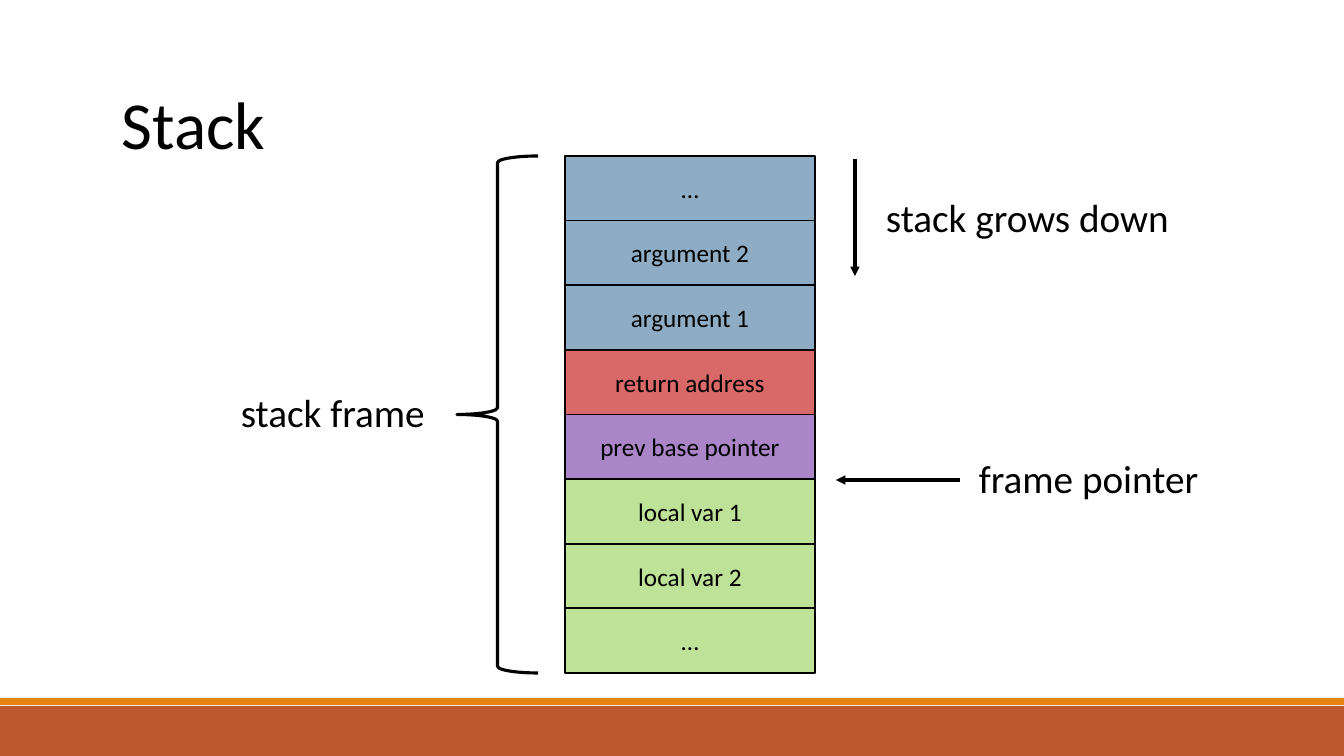
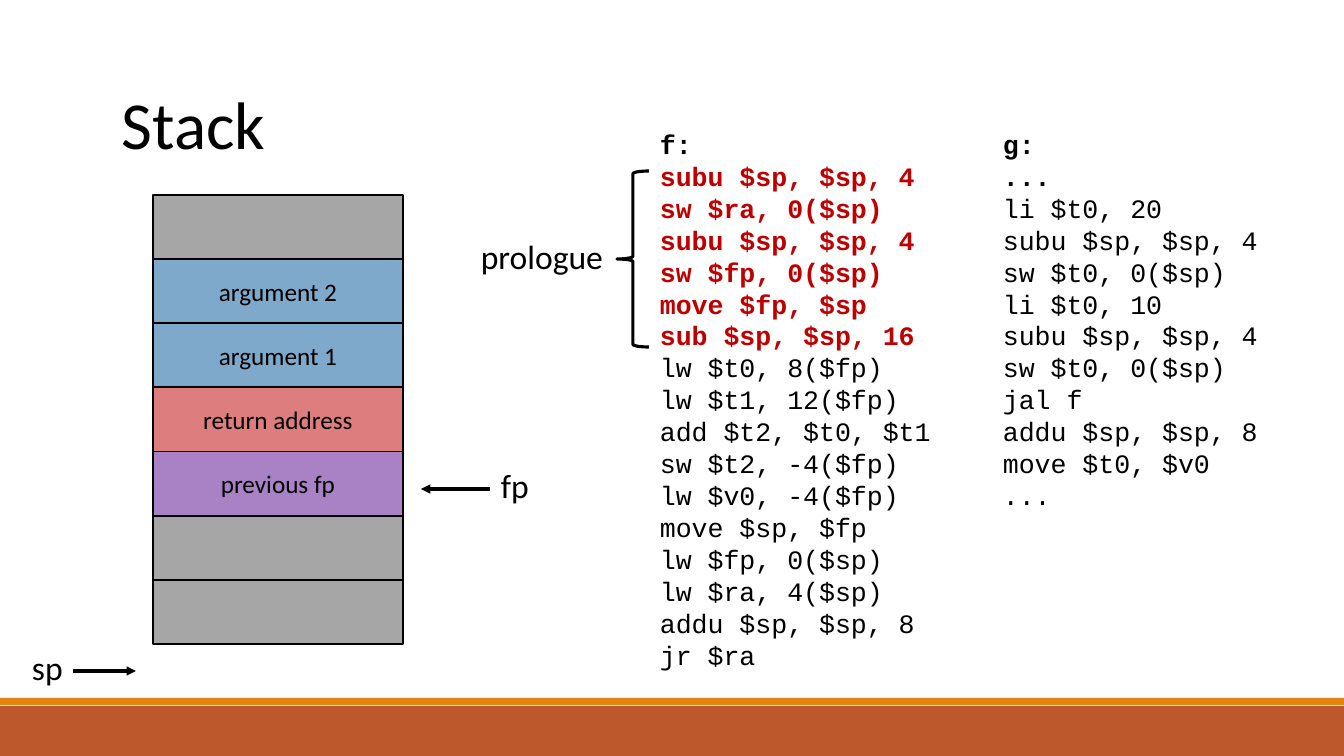
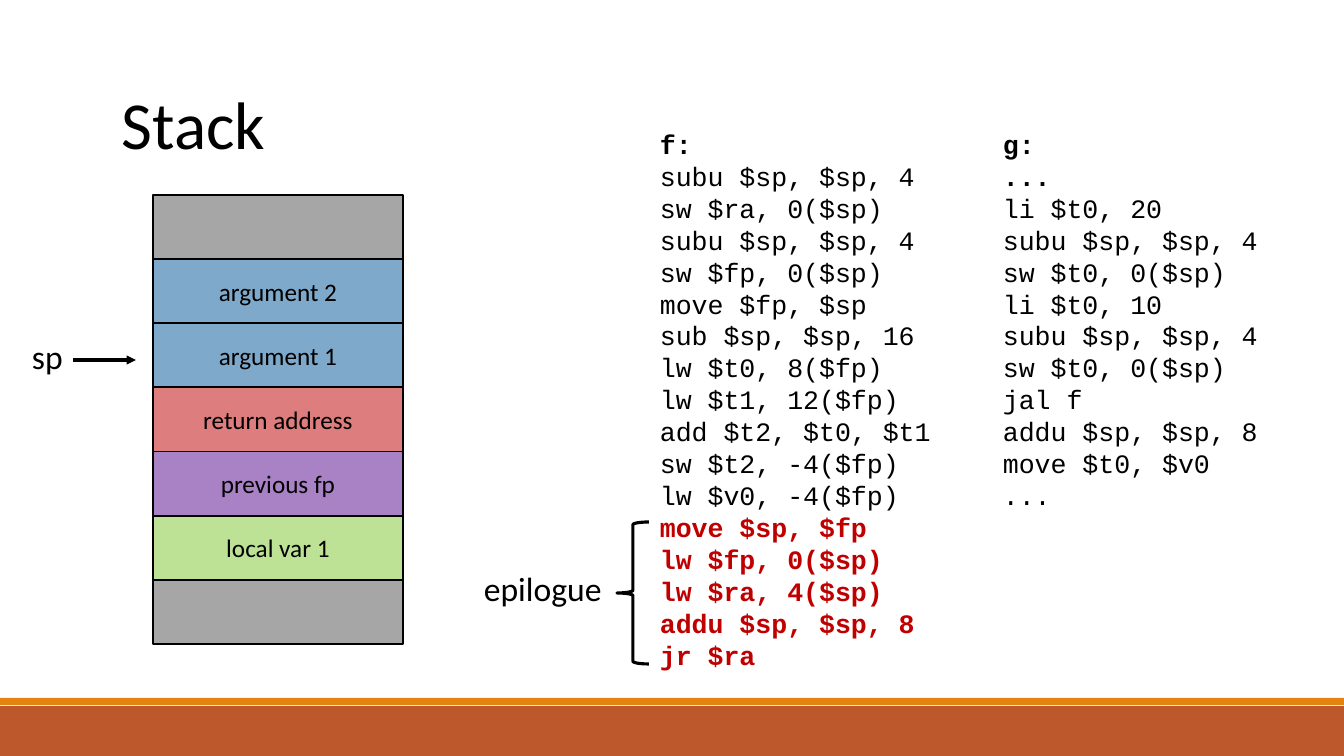
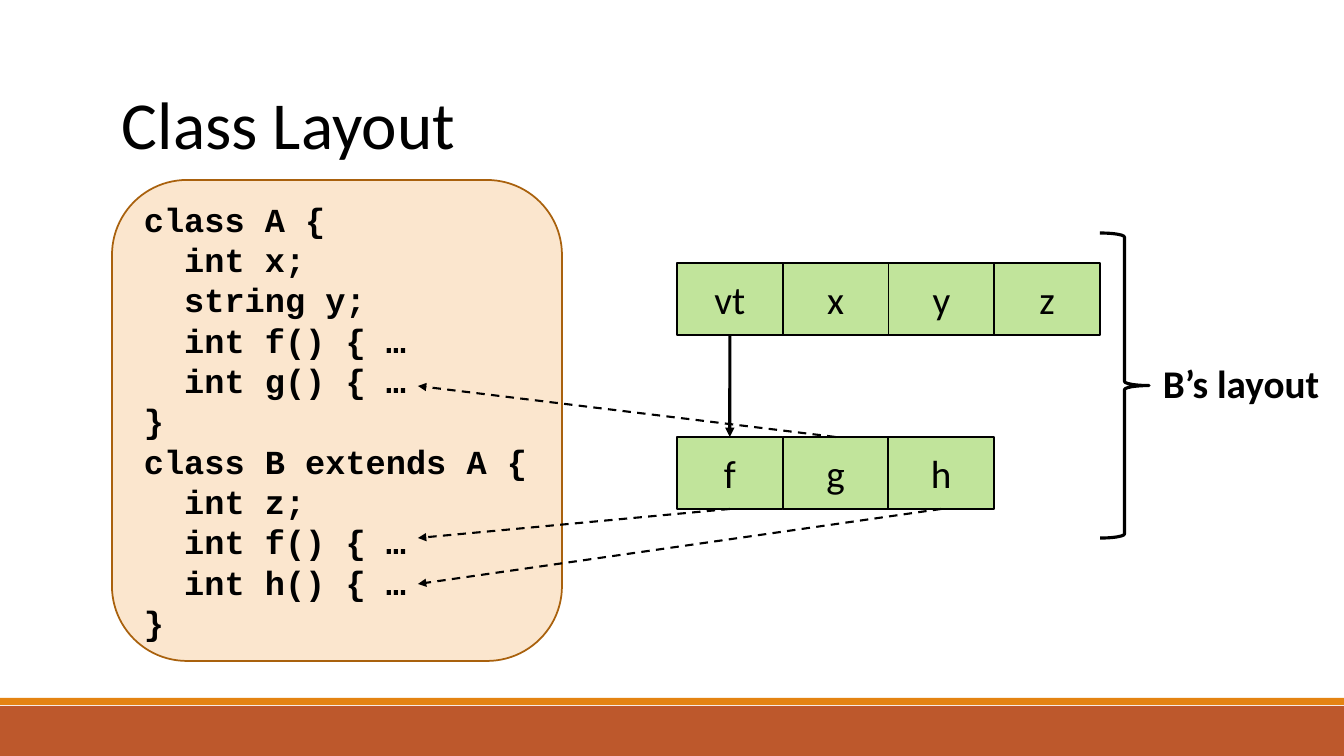
from lxml.etree import SubElement
from pptx import Presentation
from pptx.dml.color import RGBColor
from pptx.enum.dml import MSO_LINE
from pptx.enum.shapes import MSO_CONNECTOR as Link, MSO_SHAPE as Form
from pptx.enum.text import MSO_ANCHOR as Anchor, MSO_AUTO_SIZE as AutoSize, PP_ALIGN as Align
from pptx.oxml.ns import qn
from pptx.util import Emu, Pt

PX = 914400 / 100.8
WIDTH, HEIGHT = 1344, 756
SANS, MONO = "Calibri", "Courier New"
TOP, LEFT, BOTTOM, RIGHT = range(4)
COLORS = {
    "ink": "000000", "band": "BD582C", "stripe": "E48312",
    "red": "C00000", "purple": "7030A0", "green": "92D050",
    "steel": "40749B", "sky": "7EA9CA", "gray": "A6A6A6",
    "cream": "FBE6CE", "brown": "A9610D",
}

F_CODE = [
    "f:", "subu $sp, $sp, 4", "sw $ra, 0($sp)", "subu $sp, $sp, 4",
    "sw $fp, 0($sp)", "move $fp, $sp", "sub $sp, $sp, 16", "lw $t0, 8($fp)",
    "lw $t1, 12($fp)", "add $t2, $t0, $t1", "sw $t2, -4($fp)",
    "lw $v0, -4($fp)", "move $sp, $fp", "lw $fp, 0($sp)", "lw $ra, 4($sp)",
    "addu $sp, $sp, 8", "jr $ra",
]
G_CODE = [
    "g:", "...", "li $t0, 20", "subu $sp, $sp, 4", "sw $t0, 0($sp)",
    "li $t0, 10", "subu $sp, $sp, 4", "sw $t0, 0($sp)", "jal f",
    "addu $sp, $sp, 8", "move $t0, $v0", "...",
]
CLASS_CODE = [
    (0, "class A {"), (1, "int x;"), (1, "string y;"), (1, "int f() { …"),
    (1, "int g() { …"), (0, "}"), (0, "class B extends A {"), (1, "int z;"),
    (1, "int f() { …"), (1, "int h() { …"), (0, "}"),
]
FRAME_CELLS = [
    ("…", "steel", 59), ("argument 2", "steel", 59), ("argument 1", "steel", 59),
    ("return address", "red", 59), ("prev base pointer", "purple", 59),
    ("local var 1", "green", 59), ("local var 2", "green", 59), ("…", "green", 59),
]
EMPTY = ("", "gray", 100)
CALL_CELLS = [
    EMPTY, ("argument 2", "sky", 100), ("argument 1", "sky", 100),
    ("return address", "red", 51), ("previous fp", "purple", 60),
]


def px(*values):
    return [Emu(round(value * PX)) for value in values]


def rgb(name):
    return RGBColor.from_string(COLORS[name])


def style(para, size, face=SANS, color="ink", bold=False):
    para.font.size = Pt(size)
    para.font.name = face
    para.font.color.rgb = rgb(color)
    para.font.bold = bold


def add_form(shapes, form, at, fill=None, alpha=100, line=None, weight=1.25):
    shape = shapes.add_shape(form, *px(*at))
    shape.shadow.inherit = False
    if fill:
        shape.fill.solid()
        shape.fill.fore_color.rgb = rgb(fill)
        if alpha < 100:
            color = shape.element.spPr.find(".//" + qn("a:srgbClr"))
            SubElement(color, qn("a:alpha"), val=str(alpha * 1000))
    else:
        shape.fill.background()
    if line:
        shape.line.color.rgb = rgb(line)
        shape.line.width = Pt(weight)
    else:
        shape.line.fill.background()
    return shape


def add_brace(page, *at, rotation=0):
    brace = add_form(page.shapes, Form.LEFT_BRACE, at, line="ink", weight=2.25)
    brace.rotation = rotation


def add_box(page, *at):
    box = page.shapes.add_textbox(*px(*at))
    box.text_frame.word_wrap = True
    box.text_frame.auto_size = AutoSize.SHAPE_TO_FIT_TEXT
    return box


def add_label(page, text, at, size, bold=False):
    para = add_box(page, *at).text_frame.paragraphs[0]
    para.text = text
    style(para, size, bold=bold)


def add_lines(frame, lines, size):
    frame.text = "\n".join(lines)
    for para in frame.paragraphs:
        para.alignment = Align.LEFT
        para.line_spacing = Pt(size * 1.2)
        style(para, size, MONO)
    return frame.paragraphs


def add_code(page, lines, at, bold_lines, red_lines=()):
    paras = add_lines(add_box(page, *at).text_frame, lines, 19)
    for number, para in enumerate(paras):
        if number in red_lines:
            style(para, 19, MONO, "red", True)
        elif number < bold_lines:
            para.font.bold = True


def add_cell(group, at, text, fill, alpha, size):
    cell = add_form(group.shapes, Form.RECTANGLE, at, fill, alpha, "ink")
    if text:
        frame = cell.text_frame
        frame.vertical_anchor = Anchor.MIDDLE
        para = frame.paragraphs[0]
        para.text = text
        para.alignment = Align.CENTER
        style(para, size)
    return cell


def add_stack(page, left, top, height, cells):
    group = page.shapes.add_group_shape()
    pitch = height / len(cells)
    for row, (text, fill, alpha) in enumerate(cells):
        add_cell(group, (left, top + row * pitch, 250, pitch), text, fill, alpha, 18)


def add_row(page, left, top, width, names):
    group = page.shapes.add_group_shape()
    pitch = width / len(names)
    return [
        add_cell(group, (left + column * pitch, top, pitch, 72), name, "green", 57, 28)
        for column, name in enumerate(names)
    ]


def add_arrow(page, start, end, weight=2.25, dashed=False):
    arrow = page.shapes.add_connector(Link.STRAIGHT, *px(*start, *end))
    arrow.line.color.rgb = rgb("ink")
    arrow.line.width = Pt(weight)
    if dashed:
        arrow.line.dash_style = MSO_LINE.DASH
    SubElement(arrow.line._get_or_add_ln(), qn("a:tailEnd"), type="triangle")
    SubElement(arrow.element.spPr, qn("a:effectLst"))
    return arrow


def add_page(deck, title):
    page = deck.slides.add_slide(deck.slide_layouts[6])
    add_form(page.shapes, Form.RECTANGLE, (0, 706, WIDTH, 50), "band")
    add_form(page.shapes, Form.RECTANGLE, (0, 698, WIDTH, 7), "stripe")
    add_label(page, title, (112, 77, 1118, 92), 48)
    return page


def build_frame_page(deck):
    page = add_page(deck, "Stack")
    add_stack(page, 565, 156, 517, FRAME_CELLS)
    add_label(page, "frame pointer", (969, 449, 294, 57), 28)
    add_label(page, "stack frame", (231, 383, 247, 57), 28)
    add_label(page, "stack grows down", (876, 188, 328, 57), 28)
    add_brace(page, 457, 156, 81, 517)
    add_arrow(page, (960, 480), (836, 480))
    add_arrow(page, (855, 159), (855, 276))


def build_call_page(deck, free_cells, red_lines, pointer_y):
    page = add_page(deck, "Stack")
    add_code(page, F_CODE, (650, 123, 328, 558), 1, red_lines)
    add_code(page, G_CODE, (993, 123, 328, 397), 2)
    add_stack(page, 153, 195, 449, CALL_CELLS + free_cells)
    add_label(page, "sp", (22, pointer_y - 29, 57, 50), 24)
    add_arrow(page, (73, pointer_y), (136, pointer_y))
    return page


def build_prologue_page(deck):
    page = build_call_page(deck, [EMPTY, EMPTY], range(1, 7), 671)
    add_label(page, "fp", (491, 460, 57, 50), 24)
    add_arrow(page, (490, 489), (421, 489))
    add_brace(page, 617, 171, 32, 176)
    add_label(page, "prologue", (471, 231, 167, 50), 24)


def build_epilogue_page(deck):
    page = build_call_page(deck, [("local var 1", "green", 60), EMPTY], range(12, 17), 360)
    add_brace(page, 617, 522, 32, 142)
    add_label(page, "epilogue", (474, 563, 167, 50), 24)


def build_class_page(deck):
    page = add_page(deck, "Class Layout")
    card = add_form(page.shapes, Form.ROUNDED_RECTANGLE, (112, 180, 450, 481),
                    "cream", line="brown")
    card.text_frame.vertical_anchor = Anchor.MIDDLE
    paras = add_lines(card.text_frame, [text for _, text in CLASS_CODE], 24)
    for para, (level, _) in zip(paras, CLASS_CODE):
        para.font.bold = True
        para._p.get_or_add_pPr().set("marL", str(Pt(28.8) * level))

    methods = add_row(page, 677, 437, 317, ["f", "g", "h"])
    fields = add_row(page, 677, 263, 423, ["vt", "x", "y", "z"])
    table_link = add_arrow(page, (730, 335), (730, 437))
    table_link.begin_connect(fields[0], BOTTOM)
    table_link.end_connect(methods[0], TOP)
    for method, side, y in zip(methods, (BOTTOM, TOP, BOTTOM), (538, 386, 584)):
        arrow = add_arrow(page, (730, 437), (418, y), 1.5, True)
        arrow.begin_connect(method, side)
    add_brace(page, 1100, 233, 49, 305, rotation=180)
    add_label(page, "B’s layout", (1153, 354, 190, 57), 28, True)


def main():
    deck = Presentation()
    deck.slide_width, deck.slide_height = px(WIDTH, HEIGHT)
    build_frame_page(deck)
    build_prologue_page(deck)
    build_epilogue_page(deck)
    build_class_page(deck)
    deck.save("out.pptx")


if __name__ == "__main__":
    main()
